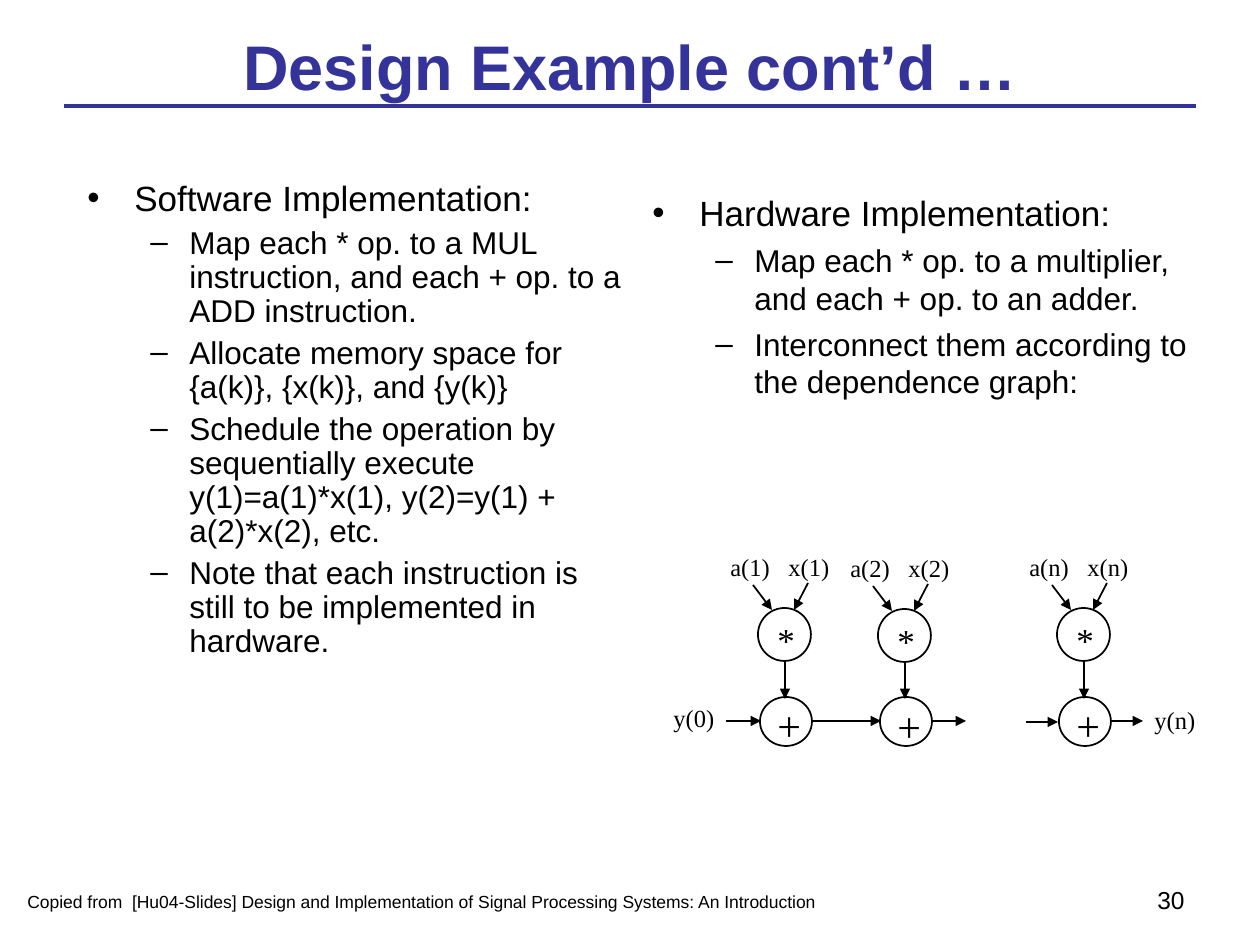
from lxml import etree
from pptx import Presentation
from pptx.dml.color import RGBColor
from pptx.enum.shapes import MSO_CONNECTOR, MSO_SHAPE
from pptx.enum.text import MSO_ANCHOR, PP_ALIGN
from pptx.oxml.ns import qn
from pptx.util import Emu, Pt

STRAIGHT = MSO_CONNECTOR.STRAIGHT
OVAL = MSO_SHAPE.OVAL
TOP, MIDDLE, BOTTOM = MSO_ANCHOR.TOP, MSO_ANCHOR.MIDDLE, MSO_ANCHOR.BOTTOM
LEFT, CENTER, RIGHT = PP_ALIGN.LEFT, PP_ALIGN.CENTER, PP_ALIGN.RIGHT

SCALE = 914400 / 126
BLUE, BLACK = "333399", "000000"
SANS, SERIF = "Arial", "Times New Roman"

SOFT = [
    "Software Implementation:",
    "Map each * op. to a MUL instruction, and each + op. to a ADD instruction.",
    "Allocate memory space for {a(k)}, {x(k)}, and {y(k)}",
    "Schedule the operation by sequentially execute "
    "y(1)=a(1)*x(1), y(2)=y(1) + a(2)*x(2), etc.",
    "Note that each instruction is still to be implemented in hardware.",
]
HARD = [
    "Hardware Implementation:",
    "Map each * op. to a multiplier, and each + op. to an adder.",
    "Interconnect them according to the dependence graph:",
]
# Index, left edge, drop and end of the output arrow of each stage
STAGES = [("1", 758, 0, 881), ("2", 878, 1, 966), ("n", 1057, 0, 1143)]


def px(n):
    return Emu(round(n * SCALE))


def color(code):
    return RGBColor.from_string(code)


def style(para, size, font, code=BLACK, bold=False):
    for run in para.runs:
        run.font.size = Pt(size)
        run.font.name = font
        run.font.bold = bold
        run.font.color.rgb = color(code)


def add_box(slide, box, anchor=TOP, wrap=True):
    frame = slide.shapes.add_textbox(*map(px, box)).text_frame
    frame.word_wrap = wrap
    frame.vertical_anchor = anchor
    return frame


def add_text(slide, box, text, size, font=SANS, code=BLACK, bold=False,
             align=LEFT, anchor=TOP, wrap=True):
    frame = add_box(slide, box, anchor, wrap)
    frame.text = text
    para = frame.paragraphs[0]
    para.alignment = align
    style(para, size, font, code, bold)
    return frame


def add_label(slide, box, text, size=14):
    frame = add_text(slide, box, text, size, SERIF, wrap=False)
    frame.margin_right = 0


def add_bullet(para, mark, left, hang):
    props = para._p.get_or_add_pPr()
    props.set("marL", str(px(left)))
    props.set("indent", str(-px(hang)))
    etree.SubElement(props, qn("a:buFont")).set("typeface", SANS)
    etree.SubElement(props, qn("a:buChar")).set("char", mark)


def add_list(slide, box, items, pitch):
    frame = add_box(slide, box)
    for i, item in enumerate(items):
        para = frame.add_paragraph() if i else frame.paragraphs[0]
        para.text = item
        para.level = 1 if i else 0
        para.line_spacing = pitch
        para.space_before = Pt(4.5 if i else 5)
        style(para, 18 if i else 20, SANS)
        if i:
            add_bullet(para, "–", 102, 39)
        else:
            add_bullet(para, "•", 47, 47)


def add_line(slide, start, end, code=BLACK, width=1, arrow=True):
    line = slide.shapes.add_connector(STRAIGHT, *map(px, start + end))
    line.line.color.rgb = color(code)
    line.line.width = Pt(width)
    if arrow:
        tail = etree.SubElement(line.line._get_or_add_ln(), qn("a:tailEnd"))
        tail.set("type", "triangle")
    etree.SubElement(line._element.spPr, qn("a:effectLst"))


def add_node(slide, box, sign, place, size):
    node = slide.shapes.add_shape(OVAL, *map(px, box))
    node.shadow.inherit = False
    node.fill.background()
    node.line.color.rgb = color(BLACK)
    node.line.width = Pt(1)
    add_label(slide, place, sign, size)


def add_stage(slide, index, x, dy, end):
    # Multiplier above adder
    add_node(slide, (x, 608 + dy, 53, 53), "*", (x + 7, 612 + dy, 43, 55), 20)
    add_node(slide, (x + 2, 697, 52, 49), "+", (x + 7, 693 + dy, 49, 63), 24)
    # Inputs, product and output
    add_line(slide, (x - 5, 585 + dy), (x + 14, 610 + dy))
    add_line(slide, (x + 50, 583 + dy), (x + 36, 610 + dy))
    add_line(slide, (x + 27, 661 + dy), (x + 27, 699))
    add_line(slide, (x + 54, 721), (end, 721))
    for name, left in (("a", x - 40), ("x", x + 18)):
        add_label(slide, (left, 546 + dy, 66, 43), f"{name}({index})")


def main():
    deck = Presentation()
    deck.slide_width, deck.slide_height = px(1260), px(945)
    slide = deck.slides.add_slide(deck.slide_layouts[6])

    # Title and rule
    add_line(slide, (64, 106), (1196, 106), BLUE, 2.25, arrow=False)
    add_text(slide, (63, 26, 1134, 79), "Design Example cont’d …", 36,
             code=BLUE, bold=True, align=CENTER, anchor=MIDDLE)

    # Two columns of points
    add_list(slide, (75, 175, 562, 567), SOFT, 0.9)
    add_list(slide, (640, 185, 568, 386), HARD, 1.0)

    # Dependence graph
    for stage in STAGES:
        add_stage(slide, *stage)
    add_line(slide, (726, 721), (761, 721))
    add_line(slide, (1026, 722), (1058, 722))
    add_label(slide, (661, 697, 66, 43), "y(0)")
    add_label(slide, (1142, 699, 66, 43), "y(n)")

    # Footer
    source = add_text(
        slide, (15, 839, 1121, 88),
        "Copied from  [Hu04-Slides] Design and Implementation of "
        "Signal Processing Systems: An Introduction", 10, anchor=BOTTOM)
    source.margin_bottom = px(15)
    add_text(slide, (903, 879, 294, 47), "30", 14, align=RIGHT)

    deck.save("out.pptx")


if __name__ == "__main__":
    main()
